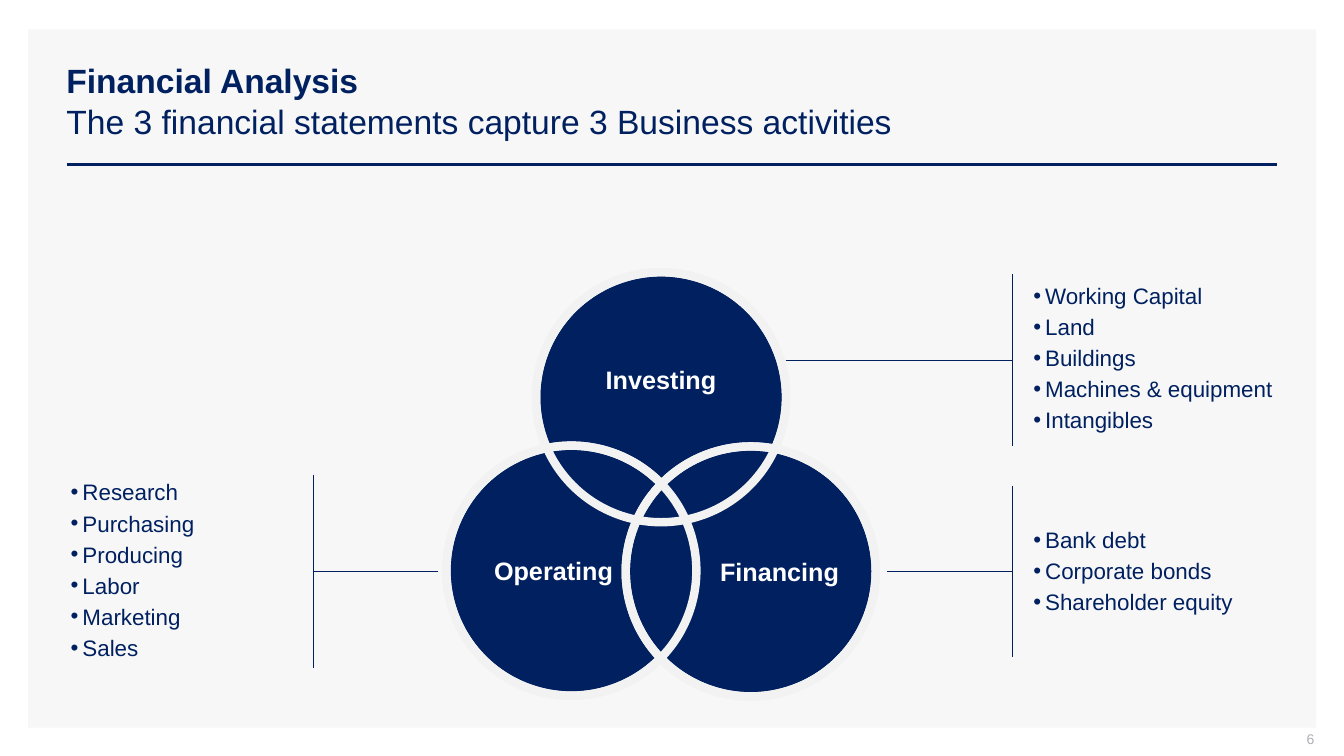
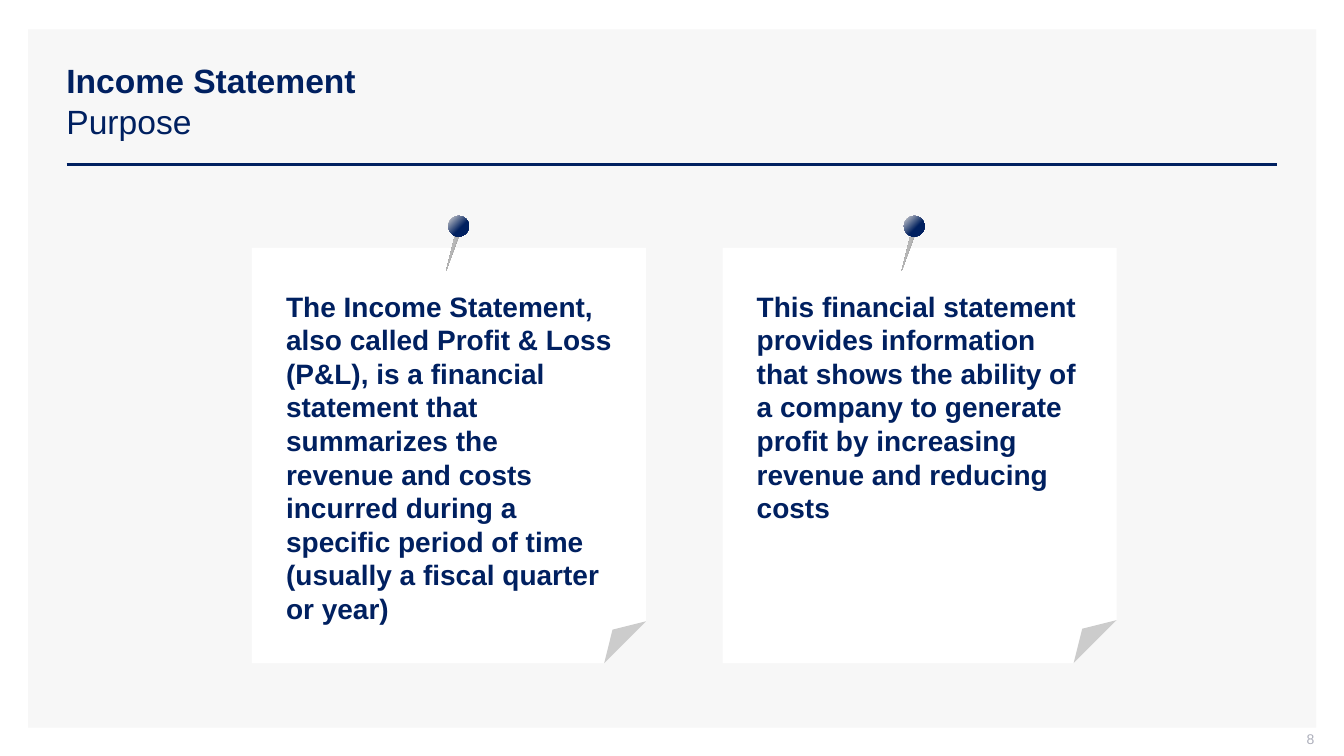
from dataclasses import dataclass

from lxml import etree
from pptx import Presentation
from pptx.dml.color import RGBColor
from pptx.enum.shapes import MSO_CONNECTOR, MSO_SHAPE
from pptx.enum.text import MSO_ANCHOR, MSO_AUTO_SIZE, PP_ALIGN
from pptx.oxml.ns import qn
from pptx.util import Cm, Pt

RECT = MSO_SHAPE.RECTANGLE
OVAL = MSO_SHAPE.OVAL
SPIKE = MSO_SHAPE.ISOSCELES_TRIANGLE
FOLD = MSO_SHAPE.FOLDED_CORNER
LINE = MSO_CONNECTOR.STRAIGHT
TOP, MIDDLE = MSO_ANCHOR.TOP, MSO_ANCHOR.MIDDLE
LEFT, MID, RIGHT = PP_ALIGN.LEFT, PP_ALIGN.CENTER, PP_ALIGN.RIGHT
FIXED = MSO_AUTO_SIZE.NONE

FACE = "Arial"
NAVY, WHITE, PANEL, RING = "002060", "FFFFFF", "F7F7F7", "F2F2F2"
PALE, GREY, STEEL, DARK = "ADAFBB", "D9D9D9", "B7B7B7", "808080"
RADIUS = 3.15
CARD_TOP, CARD_WIDE, CARD_HIGH = 6.25, 9.93, 10.46


@dataclass(frozen=True)
class Disc:
    label: str
    x: float
    y: float
    align: PP_ALIGN
    pads: tuple


@dataclass(frozen=True)
class Branch:
    items: tuple
    box: tuple
    bar: float
    top: float
    base: float
    end: float


@dataclass(frozen=True)
class Note:
    text: str
    x: float
    high: float
    fold: int
    pin: float


DISCS = (
    Disc("Investing", 16.66, 10.01, MID, (0, 0, 0, 0.91)),
    Disc("Operating", 14.4, 14.38, LEFT, (0.28, 0, 0, 0)),
    Disc("Financing", 18.92, 14.4, RIGHT, (0, 0, 0, 0)),
)

BRANCHES = (
    Branch(("Working Capital", "Land", "Buildings", "Machines & equipment",
            "Intangibles"),
           (25.81, 7.01, 6.76, 4.06), 25.5, 6.91, 11.23, 19.81),
    Branch(("Bank debt", "Corporate bonds", "Shareholder equity"),
           (25.81, 13.16, 6.5, 2.49), 25.5, 12.24, 16.56, 22.35),
    Branch(("Research", "Purchasing", "Producing", "Labor", "Marketing",
            "Sales"),
           (1.55, 11.96, 5.97, 4.88), 7.9, 11.96, 16.84, 11.05),
)

NOTES = (
    Note("The Income Statement, also called Profit & Loss (P&L), is a "
         "financial statement that summarizes the revenue and costs incurred "
         "during a specific period of time (usually a fiscal quarter or year)",
         6.35, 8.81, 10600, 4.98),
    Note("This financial statement provides information that shows the "
         "ability of a company to generate profit by increasing revenue and "
         "reducing costs",
         18.21, 6.25, 10900, 4.6),
)


def tint(code: str) -> RGBColor:
    return RGBColor.from_string(code)


def style(para, size: float, code: str = NAVY, bold: bool = False) -> None:
    for run in para.runs:
        font = run.font
        font.name, font.size, font.bold = FACE, Pt(size), bold
        font.color.rgb = tint(code)


def pad(frame, left: float, top: float, right: float, base: float) -> None:
    frame.margin_left, frame.margin_top = Cm(left), Cm(top)
    frame.margin_right, frame.margin_bottom = Cm(right), Cm(base)


def place(shape, x: float, y: float, wide: float, high: float) -> None:
    shape.left, shape.top = Cm(x), Cm(y)
    shape.width, shape.height = Cm(wide), Cm(high)


def draw(slide, kind, x: float, y: float, wide: float, high: float,
         code: str | None):
    shape = slide.shapes.add_shape(kind, Cm(x), Cm(y), Cm(wide), Cm(high))
    shape.shadow.inherit = False
    shape.line.fill.background()
    if code:
        shape.fill.solid()
        shape.fill.fore_color.rgb = tint(code)
    else:
        shape.fill.background()
    return shape


def rule(slide, x: float, y: float, to_x: float, to_y: float, width: float):
    line = slide.shapes.add_connector(LINE, Cm(x), Cm(y), Cm(to_x), Cm(to_y))
    line.line.color.rgb = tint(NAVY)
    line.line.width = Pt(width)
    etree.SubElement(line._element.spPr, qn("a:effectLst"))
    return line


def write(slide, box: tuple, anchor=TOP):
    shape = slide.shapes.add_textbox(*(Cm(side) for side in box))
    frame = shape.text_frame
    frame.word_wrap = True
    frame.vertical_anchor = anchor
    return frame


def blend(shape, stops: tuple, round_fill: bool) -> None:
    shape.fill.gradient()
    fill = shape._element.spPr.find(qn("a:gradFill"))
    fill.clear()
    fill.set("rotWithShape", "1")
    chain = etree.SubElement(fill, qn("a:gsLst"))
    for spot, code in stops:
        stop = etree.SubElement(chain, qn("a:gs"), pos=str(spot * 1000))
        etree.SubElement(stop, qn("a:srgbClr"), val=code)
    if round_fill:
        course = etree.SubElement(fill, qn("a:path"), path="circle")
        etree.SubElement(course, qn("a:fillToRect"), l="100000", t="100000")
    else:
        etree.SubElement(fill, qn("a:lin"), ang="0", scaled="0")


def crease(card, size: int) -> None:
    geom = card._element.spPr.find(qn("a:prstGeom"))
    marks = geom.find(qn("a:avLst"))
    if marks is None:
        marks = etree.SubElement(geom, qn("a:avLst"))
    etree.SubElement(marks, qn("a:gd"), name="adj", fmla=f"val {size}")


def set_base(layout, slide) -> None:
    back = draw(slide, RECT, 0.71, 0.74, 32.46, 17.6, PANEL)
    line = rule(slide, 1.68, 4.14, 32.18, 4.14, 2)
    tree = layout.shapes.element
    for spot, shape in enumerate((back, line), 2):
        tree.insert(spot, shape._element)
    title = layout.placeholders[0]
    place(title, 1.42, 1.02, 30.76, 3.02)
    rank = etree.SubElement(title._element.txBody.find(qn("a:lstStyle")),
                            qn("a:lvl1pPr"), algn="l")
    etree.SubElement(rank, qn("a:defRPr"), sz="2400")


def head(slide, name: str, sub: str, page: str) -> None:
    title = slide.shapes.title
    place(title, 1.42, 1.02, 30.76, 3.02)
    frame = title.text_frame
    frame.auto_size = FIXED
    frame.vertical_anchor = MIDDLE
    para = frame.paragraphs[0]
    para.text = f"{name}\v{sub}"
    para.alignment = LEFT
    style(para, 24)
    para.runs[0].font.bold = True
    frame = write(slide, (25.5, 18.42, 7.62, 0.53), MIDDLE)
    pad(frame, 0.25, 0, 0, 0.13)
    frame.text = page
    frame.paragraphs[0].alignment = RIGHT
    style(frame.paragraphs[0], 10, PALE)


def add_disc(slide, disc: Disc, code: str | None):
    shape = draw(slide, OVAL, disc.x - RADIUS, disc.y - RADIUS,
                 2 * RADIUS, 2 * RADIUS, code)
    shape.line.color.rgb = tint(RING)
    shape.line.width = Pt(6)
    return shape


def name_disc(shape, disc: Disc) -> None:
    frame = shape.text_frame
    frame.word_wrap = True
    frame.vertical_anchor = MIDDLE
    pad(frame, *disc.pads)
    para = frame.paragraphs[0]
    para.text = disc.label
    para.alignment = disc.align
    style(para, 18, WHITE, True)


def add_branch(slide, branch: Branch) -> None:
    frame = write(slide, branch.box)
    pad(frame, 0.23, 0.1, 0.23, 0.1)
    frame.text = "\n".join(branch.items)
    for para in frame.paragraphs:
        props = para._p.get_or_add_pPr()
        props.set("marL", str(Cm(0.3)))
        props.set("indent", str(-Cm(0.3)))
        etree.SubElement(props, qn("a:buFont"), typeface=FACE)
        etree.SubElement(props, qn("a:buChar"), char="•")
        para.space_after = Pt(3)
        style(para, 16)
    half = (branch.top + branch.base) / 2
    rule(slide, branch.bar, branch.top, branch.bar, branch.base, 0.5)
    rule(slide, branch.bar, half, branch.end, half, 0.5)


def add_note(slide, note: Note) -> None:
    card = draw(slide, FOLD, note.x, CARD_TOP, CARD_WIDE, CARD_HIGH, WHITE)
    crease(card, note.fold)
    pin = note.x + note.pin
    spike = draw(slide, SPIKE, pin, 5.92, 0.1, 0.91, STEEL)
    spike.rotation = 197
    blend(spike, ((0, DARK), (50, STEEL), (100, GREY)), False)
    ball = draw(slide, OVAL, pin - 0.03, 5.44, 0.52, 0.52, NAVY)
    blend(ball, ((40, NAVY), (100, GREY)), True)
    frame = write(slide, (note.x + 0.61, CARD_TOP + 0.91, 8.71, note.high))
    frame.text = note.text
    para = frame.paragraphs[0]
    para.space_after = Pt(4)
    style(para, 20, NAVY, True)


def main() -> None:
    deck = Presentation()
    deck.slide_width, deck.slide_height = Cm(33.87), Cm(19.05)
    layout = deck.slide_layouts[5]

    slide = deck.slides.add_slide(layout)
    set_base(layout, slide)
    head(slide, "Financial Analysis",
         "The 3 financial statements capture 3 Business activities", "6")
    for disc in DISCS:
        name_disc(add_disc(slide, disc, NAVY), disc)
    for disc in DISCS:
        add_disc(slide, disc, None)
    for branch in BRANCHES:
        add_branch(slide, branch)

    slide = deck.slides.add_slide(layout)
    head(slide, "Income Statement", "Purpose", "8")
    for note in NOTES:
        add_note(slide, note)

    deck.save("out.pptx")


if __name__ == "__main__":
    main()
